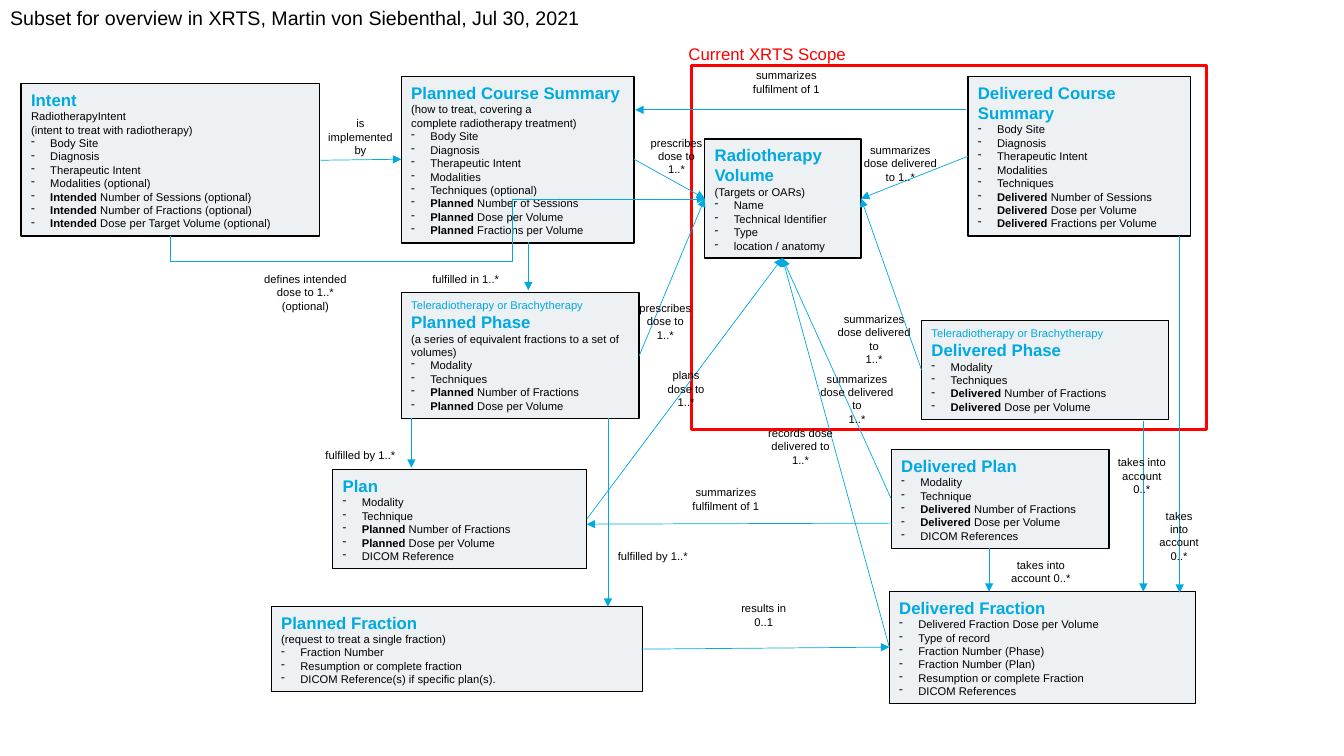
from dataclasses import dataclass

from lxml.etree import SubElement
from pptx import Presentation
from pptx.dml.color import RGBColor
from pptx.enum.shapes import MSO_CONNECTOR as LINK, MSO_SHAPE as SHAPE
from pptx.enum.text import MSO_ANCHOR as ANCHOR, MSO_AUTO_SIZE as FIT, PP_ALIGN as ALIGN
from pptx.oxml.ns import qn
from pptx.util import Emu, Pt

PX = 9144
COLORS = {"cyan": "00A9E0", "panel": "EDF1F3", "ink": "000000", "scope": "FF0000"}


@dataclass(frozen=True)
class Entity:
    area: tuple[int, int, int, int]
    title: str
    items: tuple[str, ...]
    notes: tuple[str, ...] = ()
    kicker: str = ""


@dataclass(frozen=True)
class Label:
    area: tuple[int, int, int, int]
    text: str


@dataclass(frozen=True)
class Arrow:
    start: tuple[int, int]
    end: tuple[int, int]


THERAPY = "Teleradiotherapy or Brachytherapy"
ENTITIES = (
    Entity((21, 83, 296, 151), "Intent",
           ("Body Site", "Diagnosis", "Therapeutic Intent", "Modalities (optional)",
            "Intended| Number of Sessions (optional)", "Intended| Number of Fractions (optional)",
            "Intended| Dose per Target Volume (optional)"),
           ("RadiotherapyIntent", "(intent to treat with radiotherapy)")),
    Entity((398, 76, 231, 165), "Planned Course Summary",
           ("Body Site", "Diagnosis", "Therapeutic Intent", "Modalities", "Techniques (optional)",
            "Planned| Number of Sessions", "Planned| Dose per Volume",
            "Planned| Fractions per Volume"),
           ("(how to treat, covering a", "complete radiotherapy treatment)")),
    Entity((960, 76, 221, 158), "Delivered Course Summary",
           ("Body Site", "Diagnosis", "Therapeutic Intent", "Modalities", "Techniques",
            "Delivered| Number of Sessions", "Delivered| Dose per Volume",
            "Delivered| Fractions per Volume")),
    Entity((699, 138, 155, 118), "Radiotherapy Volume",
           ("Name", "Technical Identifier", "Type", "location / anatomy"),
           ("(Targets or OARs)",)),
    Entity((398, 290, 236, 125), "Planned Phase",
           ("Modality", "Techniques", "Planned| Number of Fractions", "Planned| Dose per Volume"),
           ("(a series of equivalent fractions to a set of volumes)",), THERAPY),
    Entity((914, 318, 245, 98), "Delivered Phase",
           ("Modality", "Techniques", "Delivered| Number of Fractions",
            "Delivered| Dose per Volume"), kicker=THERAPY),
    Entity((330, 466, 252, 98), "Plan",
           ("Modality", "Technique", "Planned| Number of Fractions", "Planned| Dose per Volume",
            "DICOM Reference")),
    Entity((884, 446, 216, 98), "Delivered Plan",
           ("Modality", "Technique", "Delivered| Number of Fractions",
            "Delivered| Dose per Volume", "DICOM References")),
    Entity((269, 602, 368, 84), "Planned Fraction",
           ("Fraction Number", "Resumption or complete fraction",
            "DICOM Reference(s) if specific plan(s)."),
           ("(request to treat a single fraction)",)),
    Entity((882, 587, 304, 111), "Delivered Fraction",
           ("Delivered Fraction Dose per Volume", "Type of record", "Fraction Number (Phase)",
            "Fraction Number (Plan)", "Resumption or complete Fraction", "DICOM References")),
)

VOLUME_LEFT, VOLUME_RIGHT, VOLUME_FOOT = (699, 197), (854, 197), (776, 256)
ARROWS = (
    Arrow((958, 109), (630, 109)),
    Arrow((318, 159), (398, 158)),
    Arrow((636, 644), (882, 642)),
    Arrow((885, 519), (582, 520)),
    Arrow((524, 240), (524, 288)),
    Arrow((408, 415), (408, 464)),
    Arrow((603, 415), (603, 602)),
    Arrow((981, 544), (981, 587)),
    Arrow((1134, 418), (1134, 587)),
    Arrow((1170, 234), (1170, 588)),
    Arrow((960, 155), VOLUME_RIGHT),
    Arrow((914, 367), VOLUME_RIGHT),
    Arrow((634, 353), VOLUME_LEFT),
    Arrow((629, 158), VOLUME_LEFT),
    Arrow((884, 495), VOLUME_FOOT),
    Arrow((882, 642), VOLUME_FOOT),
    Arrow((582, 515), VOLUME_FOOT),
)

SUMMARIZES_DOSE = "summarizes dose delivered to\n1..*"
SUMMARIZES_ONE = "summarizes fulfilment of 1"
PRESCRIBES = "prescribes dose to\n1..*"
TAKES = "takes into account 0..*"
FULFILLED = "fulfilled by 1..*"
LABELS = (
    Label((305, 440, 105, 24), FULFILLED),
    Label((595, 540, 105, 24), FULFILLED),
    Label((410, 265, 104, 24), "fulfilled in 1..*"),
    Label((310, 111, 95, 50), "is\nimplemented\nby"),
    Label((671, 477, 98, 37), SUMMARIZES_ONE),
    Label((731, 63, 98, 37), SUMMARIZES_ONE),
    Label((818, 305, 98, 64), SUMMARIZES_DOSE),
    Label((801, 364, 98, 64), SUMMARIZES_DOSE),
    Label((844, 137, 98, 50), "summarizes dose delivered to 1..*"),
    Label((629, 130, 84, 50), PRESCRIBES),
    Label((618, 294, 84, 50), PRESCRIBES),
    Label((243, 265, 120, 50), "defines intended dose to 1..*\n(optional)"),
    Label((745, 418, 98, 50), "records dose delivered to\n1..*"),
    Label((717, 592, 81, 37), "results in 0..1"),
    Label((640, 361, 81, 50), "plans\ndose to\n1..*"),
    Label((986, 549, 93, 37), TAKES),
    Label((1137, 500, 65, 64), TAKES),
    Label((1098, 447, 69, 50), TAKES),
)


def scaled(*lengths: int) -> list[Emu]:
    return [Emu(length * PX) for length in lengths]


def color(name: str) -> RGBColor:
    return RGBColor.from_string(COLORS[name])


def style(para, size: int, ink: str, bold: bool = False) -> None:
    for span in para.runs:
        span.font.name = "Arial"
        span.font.size = Pt(size)
        span.font.bold = bold
        span.font.color.rgb = color(ink)


def add_frame(page, area: tuple[int, int, int, int], ink: str, width: float):
    box = page.shapes.add_shape(SHAPE.RECTANGLE, *scaled(*area))
    box.shadow.inherit = False
    box.fill.background()
    box.line.color.rgb = color(ink)
    box.line.width = Pt(width)
    return box


def add_bullet(para) -> None:
    properties = para._p.get_or_add_pPr()
    properties.set("marL", str(19 * PX))
    properties.set("indent", str(-19 * PX))
    SubElement(properties, qn("a:buChar")).set("char", "-")


def add_entity(page, entity: Entity) -> None:
    box = add_frame(page, entity.area, "ink", 1)
    box.fill.solid()
    box.fill.fore_color.rgb = color("panel")
    frame = box.text_frame
    frame.word_wrap = True
    frame.auto_size = FIT.SHAPE_TO_FIT_TEXT
    frame.vertical_anchor = ANCHOR.MIDDLE
    heads = ([entity.kicker] if entity.kicker else []) + [entity.title]
    plain = [*heads, *entity.notes]
    frame.text = "\n".join([*plain, *(item.replace("|", "") for item in entity.items)])
    for para in frame.paragraphs:
        para.alignment = ALIGN.LEFT
        style(para, 8, "ink")
    for para, head in zip(frame.paragraphs, heads):
        is_title = head == entity.title
        style(para, 12 if is_title else 8, "cyan", is_title)
    for para, item in zip(frame.paragraphs[len(plain):], entity.items):
        add_bullet(para)
        if "|" in item:
            lead, rest = item.split("|")
            para.runs[0].text = lead
            para.add_run().text = rest
            style(para, 8, "ink")
            para.runs[0].font.bold = True


def add_arrow(page, arrow: Arrow, kind: LINK = LINK.STRAIGHT):
    link = page.shapes.add_connector(kind, *scaled(*arrow.start, *arrow.end))
    link.line.color.rgb = color("cyan")
    link.line.width = Pt(0.5)
    SubElement(link.line._get_or_add_ln(), qn("a:tailEnd")).set("type", "triangle")
    SubElement(link._element.spPr, qn("a:effectLst"))
    return link


def add_intent_route(page) -> None:
    properties = add_arrow(page, Arrow((453, 481), (416, -49)), LINK.ELBOW)._element.spPr
    properties.find(qn("a:xfrm")).set("rot", "5400000")
    geometry = properties.find(qn("a:prstGeom"))
    geometry.set("prst", "bentConnector4")
    guides = geometry.find(qn("a:avLst"))
    for name, value in (("adj1", -67400), ("adj2", 64000)):
        guide = SubElement(guides, qn("a:gd"))
        guide.set("name", name)
        guide.set("fmla", f"val {value}")


def add_label(page, label: Label, size: int = 8, ink: str = "ink", align: ALIGN = ALIGN.CENTER):
    frame = page.shapes.add_textbox(*scaled(*label.area)).text_frame
    frame.word_wrap = True
    frame.text = label.text
    for para in frame.paragraphs:
        para.alignment = align
        style(para, size, ink)
    return frame


def set_title(page, text: str) -> None:
    title = page.shapes.title
    title.left, title.top, title.width, title.height = scaled(0, 3, 1230, 68)
    frame = title.text_frame
    frame.text = text
    frame.word_wrap = True
    frame.auto_size = FIT.NONE
    frame.vertical_anchor = ANCHOR.TOP
    para = frame.paragraphs[0]
    para.alignment = ALIGN.LEFT
    para.line_spacing = 0.9
    style(para, 14, "ink")


def main() -> None:
    deck = Presentation()
    deck.slide_width, deck.slide_height = scaled(1333, 750)
    page = deck.slides.add_slide(deck.slide_layouts[5])
    set_title(page, "Subset for overview in XRTS, Martin von Siebenthal, Jul 30, 2021")
    add_frame(page, (686, 65, 511, 361), "scope", 2.25)
    for entity in ENTITIES:
        add_entity(page, entity)
    for arrow in ARROWS:
        add_arrow(page, arrow)
    add_intent_route(page)
    for label in LABELS:
        add_label(page, label)
    scope = add_label(page, Label((673, 28, 526, 53), "Current XRTS Scope"), 12, "scope", ALIGN.LEFT)
    scope.paragraphs[0].line_spacing = 1.5
    deck.save("out.pptx")


if __name__ == "__main__":
    main()
